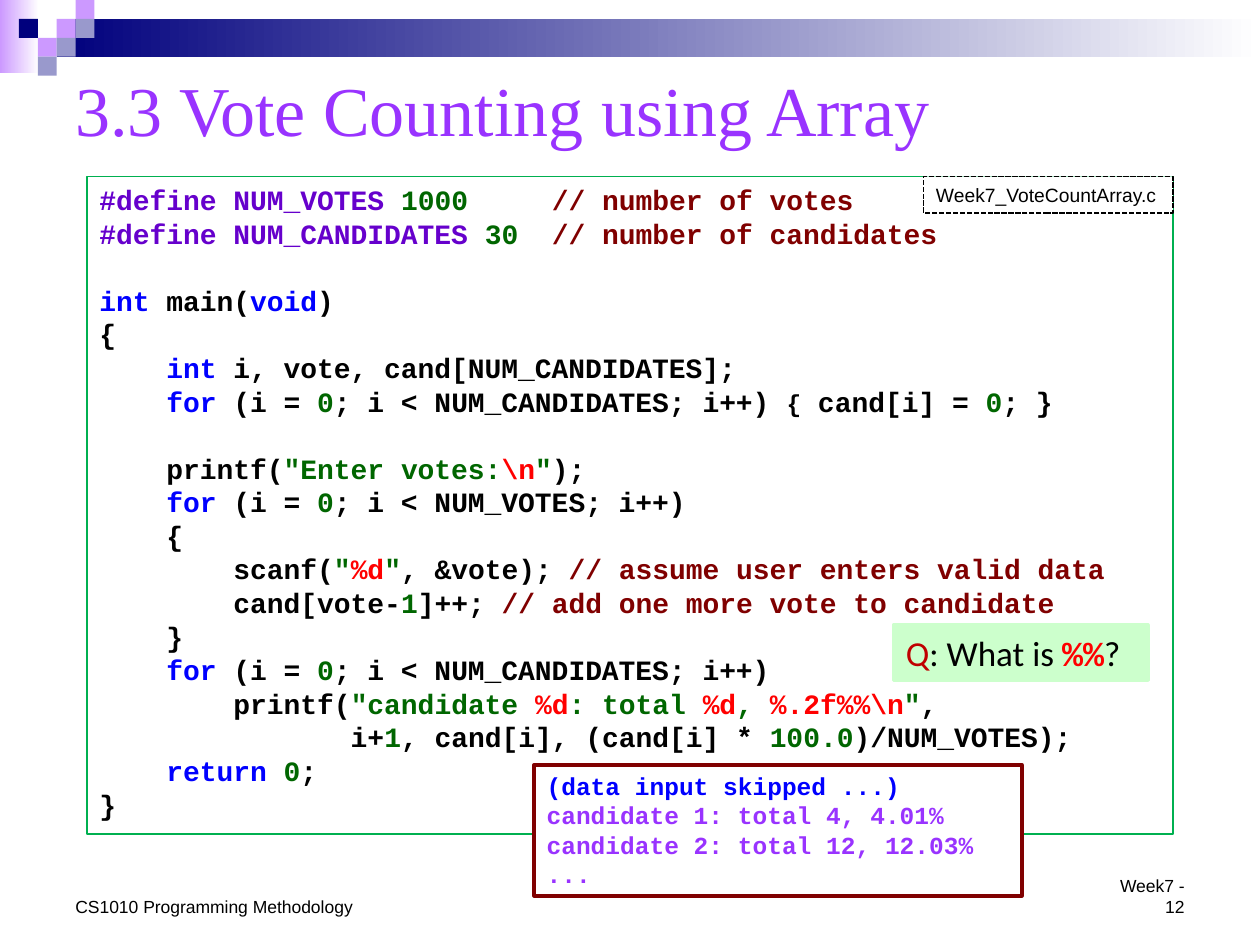
from pptx import Presentation
from pptx import util as u
from pptx.dml.color import RGBColor
from pptx.enum import dml, shapes, text

W, H = 10, 7.5
UNIT = 0.15  # side of one square in the header mosaic
MONO = "Courier New"

LILAC, NAVY, SLATE = "CC99FF", "00007D", "9999CC"
BANDS = [((0, 0, 0.31, 0.58), LILAC), ((3 * UNIT, UNIT, W - 3 * UNIT, 2 * UNIT), NAVY)]
SQUARES = [  # column, row, colour
    (3, 1, LILAC), (4, 0, LILAC), (4, 1, SLATE), (2, 2, LILAC),
    (1, 1, NAVY), (3, 2, SLATE), (2, 3, SLATE),
]

ROLES = {
    "code": {"color": "000000"},
    "small": {"color": "000000", "size": 14},
    "macro": {"color": "6600CC"},
    "key": {"color": "0000FF"},
    "lit": {"color": "006600"},
    "esc": {"color": "FF0000"},
    "note": {"color": "800000"},
    "out": {"color": "9933FF"},
}


def loop_head(limit):
    return ["    ", ("for", "key"), " (i = ", ("0", "lit"), f"; i < {limit}; i++)"]


CODE = [  # plain strings are ordinary code; an empty list is a blank line
    [("#define NUM_VOTES ", "macro"), ("1000     ", "lit"), ("// number of votes", "note")],
    [("#define NUM_CANDIDATES ", "macro"), ("30  ", "lit"),
     ("// number of candidates", "note")],
    [],
    [("int", "key"), " main(", ("void", "key"), ")"],
    ["{"],
    ["    ", ("int ", "key"), "i, vote, cand[NUM_CANDIDATES];"],
    loop_head("NUM_CANDIDATES")
    + [" ", ("{", "small"), " cand[i] = ", ("0", "lit"), "; }"],
    [],
    ["    printf(", ('"Enter votes:', "lit"), (r"\n", "esc"), ('"', "lit"), ");"],
    loop_head("NUM_VOTES"),
    ["    {"],
    ["        scanf(", ('"', "lit"), ("%d", "esc"), ('"', "lit"), ", &vote); ",
     ("// assume user enters valid data", "note")],
    ["        cand[vote-", ("1", "lit"), "]++;", (" // add one more vote to candidate", "note")],
    ["    }"],
    loop_head("NUM_CANDIDATES"),
    ["        printf(", ('"candidate ', "lit"), ("%d", "esc"), (": total ", "lit"),
     ("%d", "esc"), (", ", "lit"), (r"%.2f%%\n", "esc"), ('"', "lit"), ","],
    ["               i+", ("1", "lit"), ", cand[i], (cand[i] * ", ("100.0", "lit"),
     ")/NUM_VOTES);"],
    ["    ", ("return ", "key"), ("0", "lit"), ";"],
    ["}"],
]
OUTPUT = [
    [("(data input skipped ...)", "key")],
    [("candidate 1: total 4, 4.01%", "out")],
    [("candidate 2: total 12, 12.03%", "out")],
    [("...", "out")],
]
QUESTION = [[
    ("Q", {"color": "C00000"}), ": What is ",
    ("%%", {"color": "FF0000", "name": MONO, "bold": True}), "?",
]]

CODE_FONT = {"name": MONO, "size": 16, "bold": True}
SMALL_ARIAL = {"name": "Arial", "size": 10}
BOTTOM, MIDDLE = text.MSO_ANCHOR.BOTTOM, text.MSO_ANCHOR.MIDDLE

prs = Presentation()
prs.slide_width, prs.slide_height = u.Inches(W), u.Inches(H)
s = prs.slides.add_slide(prs.slide_layouts[6])


def rgb(value):
    return RGBColor.from_string(value)


def inches(box):
    return [u.Inches(v) for v in box]


def add_rect(box, fill=None, line=None, width=1, dash=None):
    sp = s.shapes.add_shape(shapes.MSO_SHAPE.RECTANGLE, *inches(box))
    sp.shadow.inherit = False
    if fill:
        sp.fill.solid()
        sp.fill.fore_color.rgb = rgb(fill)
    if line:
        sp.line.color.rgb = rgb(line)
        sp.line.width = u.Pt(width)
        sp.line.dash_style = dash
    else:
        sp.line.fill.background()
    return sp


def write(sp, lines, font, anchor=text.MSO_ANCHOR.TOP, align=text.PP_ALIGN.LEFT):
    """Fill a shape with lines of runs; a blank line becomes space before the next."""
    tf = sp.text_frame
    tf.word_wrap, tf.vertical_anchor = True, anchor
    p, gap = None, False
    for line in lines:
        if not line:
            gap = True
            continue
        p = tf.add_paragraph() if p is not None else tf.paragraphs[0]
        p.alignment = align
        if gap:
            p.space_before = u.Pt(1.2 * font["size"])
            gap = False
        for item in line:
            words, role = (item, "code") if isinstance(item, str) else item
            look = {"color": "000000", **font, **(ROLES[role] if isinstance(role, str) else role)}
            r = p.add_run()
            r.text = words
            r.font.color.rgb = rgb(look.pop("color"))
            r.font.size = u.Pt(look.pop("size"))
            for name, value in look.items():
                setattr(r.font, name, value)


def add_label(box, words, font, color="000000", **layout):
    sp = s.shapes.add_textbox(*inches(box))
    write(sp, [[(words, {"color": color})]], font, **layout)


for box, color in BANDS:
    band = add_rect(box)
    band.fill.gradient()
    band.fill.gradient_angle = 0
    for stop, value in zip(band.fill.gradient_stops, (color, "FFFFFF")):
        stop.color.rgb = rgb(value)
for col, row, color in SQUARES:
    add_rect((col * UNIT, row * UNIT, UNIT, UNIT), color)

add_label((0.5, 0.42, 9, 0.88), "3.3 Vote Counting using Array",
          {"name": "Times New Roman", "size": 40}, "9933FF", anchor=MIDDLE)

write(add_rect((0.69, 1.4, 8.62, 5.22), "FFFFFF", "00B050", 0.75), CODE, CODE_FONT)
write(add_rect((7.33, 1.4, 1.98, 0.29), "FFFFFF", "000000", 1, dml.MSO_LINE.SQUARE_DOT),
      [["Week7_VoteCountArray.c"]], {"name": "Arial", "size": 11}, MIDDLE)
write(add_rect((7.09, 4.96, 2.02, 0.44), "CCFFCC", "CCFFCC", 2), QUESTION,
      {"name": "Calibri", "size": 20})
write(add_rect((4.24, 6.07, 3.87, 1.04), "FFFFFF", "800000", 2), OUTPUT,
      {**CODE_FONT, "size": 14})

add_label((0.5, 7.06, 2.42, 0.27), "CS1010 Programming Methodology", SMALL_ARIAL, anchor=BOTTOM)
add_label((8.66, 7.06, 0.84, 0.27), "Week7 - 12", SMALL_ARIAL, anchor=BOTTOM,
          align=text.PP_ALIGN.RIGHT)

prs.save("out.pptx")
